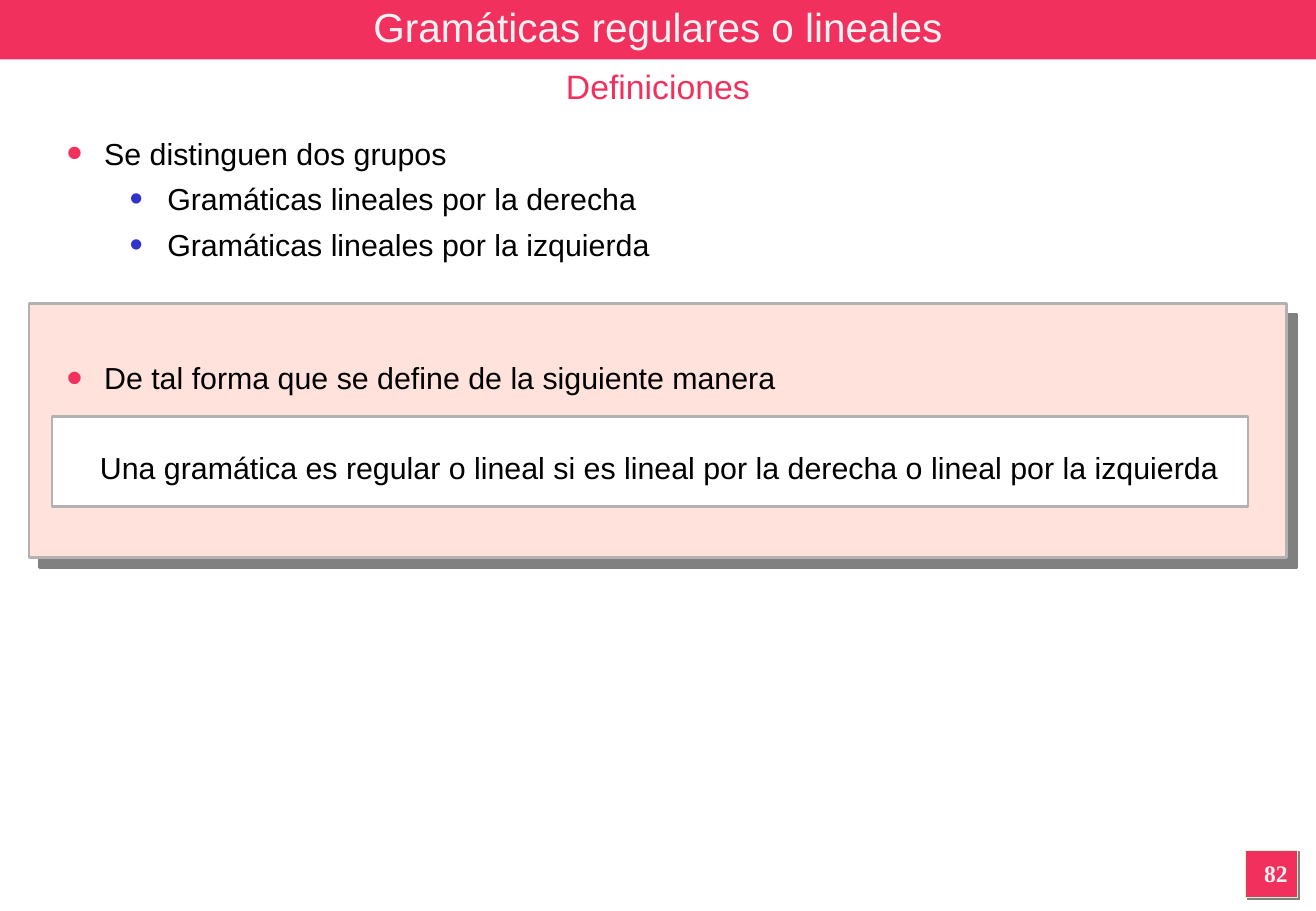
from lxml import etree
from pptx import Presentation
from pptx.dml.color import RGBColor
from pptx.enum.shapes import MSO_SHAPE
from pptx.enum.text import MSO_ANCHOR, MSO_AUTO_SIZE, PP_ALIGN
from pptx.oxml.ns import qn
from pptx.util import Inches, Pt

RECT = MSO_SHAPE.RECTANGLE
MIDDLE, TOP = MSO_ANCHOR.MIDDLE, MSO_ANCHOR.TOP
FIXED = MSO_AUTO_SIZE.NONE
CENTER, LEFT = PP_ALIGN.CENTER, PP_ALIGN.LEFT

RED, BLUE, PINK = "F2305E", "3333CC", "FFE2DB"
GRAY, SHADE, GREEN = "B2B2B2", "808080", "CCFFCC"
WHITE, PALE, BLACK = "FFFFFF", "F2F2F2", "000000"
WIDE, HIGH = 10.84, 7.5
GAP, ROW = 5.4, 26.1


def color(text):
    return RGBColor.from_string(text)


def add_node(parent, tag, **values):
    return etree.SubElement(parent, qn(tag), values)


def add_shade(shape, dist):
    effects = shape._element.spPr.find(qn("a:effectLst"))
    shade = add_node(effects, "a:outerShdw", dist=str(Pt(dist)), dir="2700000",
                     algn="ctr", rotWithShape="0")
    add_node(shade, "a:srgbClr", val=SHADE)


def add_rect(slide, box, fill, line=None, weight=1.5, shade=0):
    shape = slide.shapes.add_shape(RECT, *map(Inches, box))
    shape.shadow.inherit = False
    shape.fill.solid()
    shape.fill.fore_color.rgb = color(fill)
    if line:
        shape.line.color.rgb = color(line)
        shape.line.width = Pt(weight)
    else:
        shape.line.fill.background()
    if shade:
        add_shade(shape, shade)


def set_font(para, size, tint, name="Arial", bold=False):
    font = para.font
    font.name, font.size, font.bold = name, Pt(size), bold
    font.color.rgb = color(tint)


def set_frame(shape, anchor=TOP):
    frame = shape.text_frame
    frame.word_wrap = True
    frame.auto_size = FIXED
    frame.vertical_anchor = anchor
    return frame


def add_label(slide, box, text, size, tint, name="Arial", bold=False):
    frame = set_frame(slide.shapes.add_textbox(*map(Inches, box)))
    para = frame.paragraphs[0]
    para.text, para.alignment = text, CENTER
    set_font(para, size, tint, name, bold)


def add_bullet(para, left, tint, scale):
    props = para._p.get_or_add_pPr()
    props.set("marL", str(Inches(left)))
    props.set("indent", str(Inches(-0.31)))
    add_node(add_node(props, "a:buClr"), "a:srgbClr", val=tint)
    add_node(props, "a:buSzPct", val=str(scale * 1000))
    add_node(props, "a:buFont", typeface="Arial")
    add_node(props, "a:buChar", char="•")


def add_head(slide, box):
    left, top, width, height = box
    add_rect(slide, box, RED)
    title = slide.shapes.title
    slide.shapes._spTree.append(title._element)
    title.left, title.top = Inches(left), Inches(top)
    title.width, title.height = Inches(width), Inches(0.44)
    para = set_frame(title, MIDDLE).paragraphs[0]
    para.text, para.alignment = "Gramáticas regulares o lineales", CENTER
    set_font(para, 24, PALE)
    add_label(slide, (left, top + height, width, 0.44), "Definiciones", 20, RED)


def add_panel(slide, box):
    left, top, width, height = box
    add_rect(slide, box, PINK, GRAY, 1.5, 8.5)
    add_rect(slide, (left + 0.19, top + 0.93, width - 0.51, 0.74), WHITE, GRAY)


def add_body(slide, box):
    main, sub = (0.31, RED, 150), (0.83, BLUE, 125)
    rows = [
        ("Se distinguen dos grupos", 0, main, 0),
        ("Gramáticas lineales por la derecha", 1, sub, GAP),
        ("Gramáticas lineales por la izquierda", 1, sub, GAP),
        ("De tal forma que se define de la siguiente manera", 0, main, GAP + 2 * ROW),
        ("Una gramática es regular o lineal si es lineal por la derecha "
         "o lineal por la izquierda", 0, None, GAP + ROW),
    ]
    frame = set_frame(slide.shapes.add_textbox(*map(Inches, box)))
    for index, (text, level, bullet, space) in enumerate(rows):
        para = frame.add_paragraph() if index else frame.paragraphs[0]
        para.text, para.level = text, level
        para.alignment = LEFT if bullet else CENTER
        if space:
            para.space_before = Pt(space)
        if bullet:
            add_bullet(para, *bullet)
        set_font(para, 18, BLACK)


def add_number(slide, box):
    left, top, width, height = box
    add_rect(slide, box, RED, GREEN, 0.75, 1.4)
    add_label(slide, (left - 0.02, top + 0.02, width + 0.11, height - 0.04),
              "82", 14, PALE, "Times New Roman", True)


def main():
    deck = Presentation()
    deck.slide_width, deck.slide_height = Inches(WIDE), Inches(HIGH)
    slide = deck.slides.add_slide(deck.slide_layouts[5])
    add_head(slide, (0, 0, WIDE, 0.49))
    add_panel(slide, (0.24, 2.5, 10.36, 2.09))
    add_body(slide, (0.45, 1.06, 9.96, 5.79))
    add_number(slide, (10.26, 7, 0.43, 0.39))
    deck.save("out.pptx")


if __name__ == "__main__":
    main()
